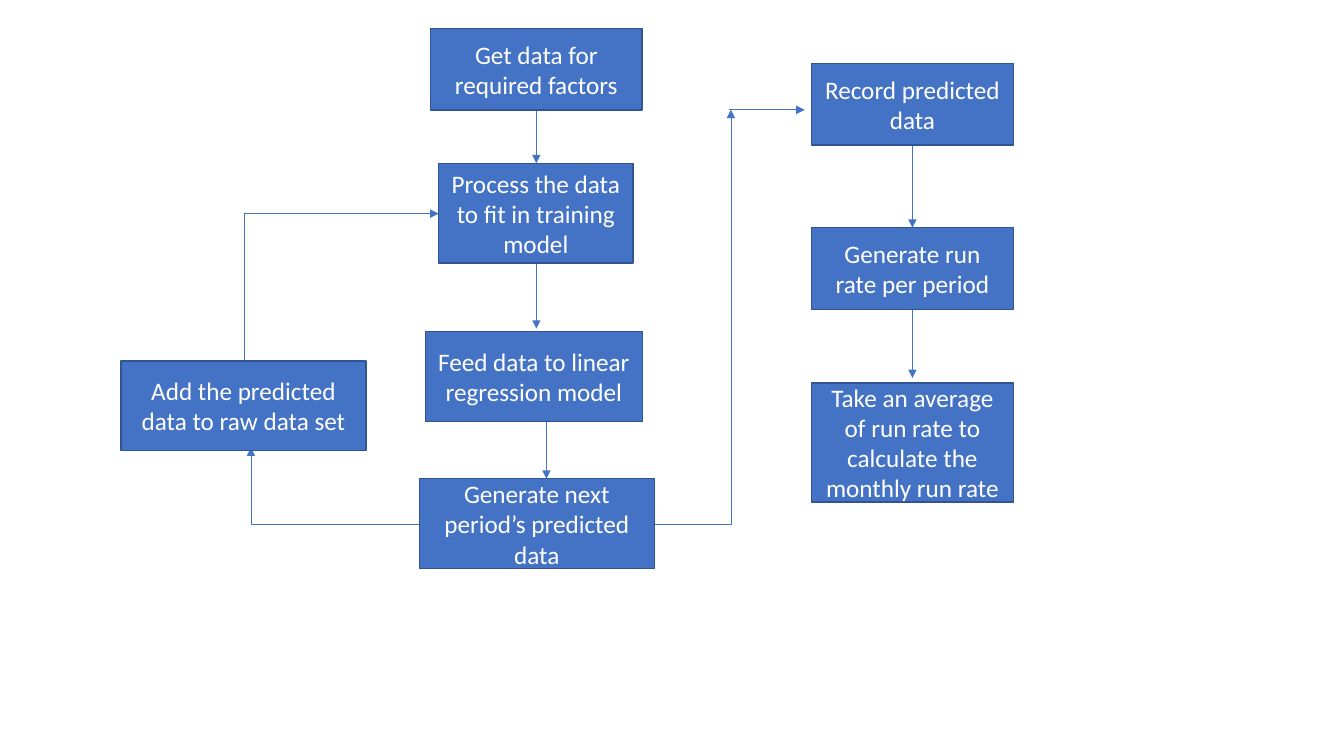
from dataclasses import dataclass

from lxml import etree
from pptx import Presentation
from pptx.dml.color import RGBColor
from pptx.enum.shapes import MSO_CONNECTOR, MSO_SHAPE
from pptx.enum.text import MSO_ANCHOR, PP_ALIGN
from pptx.oxml.ns import qn
from pptx.util import Inches, Pt

RECTANGLE = MSO_SHAPE.RECTANGLE
STRAIGHT, ELBOW = MSO_CONNECTOR.STRAIGHT, MSO_CONNECTOR.ELBOW
MIDDLE, CENTER = MSO_ANCHOR.MIDDLE, PP_ALIGN.CENTER
QUARTER_TURN = "5400000"


@dataclass(frozen=True)
class Theme:
    font: str = "Calibri"
    text_size: Pt = Pt(18)
    text: RGBColor = RGBColor(0xFF, 0xFF, 0xFF)
    accent: RGBColor = RGBColor(0x44, 0x72, 0xC4)
    border: RGBColor = RGBColor(0x32, 0x54, 0x91)
    border_width: Pt = Pt(1)
    arrow_width: Pt = Pt(0.5)


THEME = Theme()

STEPS = [
    ("Get data for required factors", 4.27, 0.28, 2.1, 0.81),
    ("Process the data to fit in training model", 4.35, 1.62, 1.93, 0.99),
    ("Feed data to linear regression model", 4.22, 3.29, 2.15, 0.89),
    ("Generate next period’s predicted data", 4.16, 4.75, 2.33, 0.89),
    ("Add the predicted data to raw data set", 1.2, 3.58, 2.43, 0.89),
    ("Record predicted data", 8.05, 0.63, 2, 0.81),
    ("Generate run rate per period", 8.05, 2.26, 2, 0.81),
    ("Take an average of run rate to calculate the monthly run rate", 8.05, 3.8, 2, 1.18),
]

STRAIGHT_ARROWS = [
    ((5.32, 1.09), (5.32, 1.62)),
    ((5.32, 2.62), (5.32, 3.26)),
    ((5.42, 4.19), (5.42, 4.75)),
    ((7.23, 1.09), (7.98, 1.09)),
    ((9.05, 1.44), (9.05, 2.26)),
    ((9.05, 3.07), (9.05, 3.75)),
]
SIDEWAYS_THEN_UP_ARROWS = [
    ((6.49, 5.2), (7.25, 1.09)),
    ((4.16, 5.2), (2.49, 4.44)),
]
UP_THEN_RIGHT_ARROW = ((2.42, 3.58), (4.35, 2.12))


def add_arrow(slide, kind, start, end):
    connector = slide.shapes.add_connector(kind, *map(Inches, start + end))
    connector.line.color.rgb = THEME.accent
    connector.line.width = THEME.arrow_width
    etree.SubElement(connector.line._get_or_add_ln(), qn("a:tailEnd"), type="triangle")
    properties = connector._element.spPr
    etree.SubElement(properties, qn("a:effectLst"))
    if kind == ELBOW:
        properties.find(qn("a:prstGeom")).set("prst", "bentConnector2")
    return connector


def add_up_then_right_arrow(slide, start, end):
    (start_x, start_y), (end_x, end_y) = start, end
    center_x, center_y = (start_x + end_x) / 2, (start_y + end_y) / 2
    half_width, half_height = (start_y - end_y) / 2, (end_x - start_x) / 2
    connector = add_arrow(
        slide,
        ELBOW,
        (center_x + half_width, center_y + half_height),
        (center_x - half_width, center_y - half_height),
    )
    connector._element.spPr.find(qn("a:xfrm")).set("rot", QUARTER_TURN)


def add_step(slide, text, *box):
    shape = slide.shapes.add_shape(RECTANGLE, *map(Inches, box))
    shape.shadow.inherit = False
    shape.fill.solid()
    shape.fill.fore_color.rgb = THEME.accent
    shape.line.color.rgb = THEME.border
    shape.line.width = THEME.border_width
    frame = shape.text_frame
    frame.word_wrap = True
    frame.vertical_anchor = MIDDLE
    paragraph = frame.paragraphs[0]
    paragraph.alignment = CENTER
    run = paragraph.add_run()
    run.text = text
    run.font.name = THEME.font
    run.font.size = THEME.text_size
    run.font.color.rgb = THEME.text


presentation = Presentation()
presentation.slide_width, presentation.slide_height = Inches(13.33), Inches(7.5)
slide = presentation.slides.add_slide(presentation.slide_layouts.get_by_name("Blank"))

for start, end in STRAIGHT_ARROWS:
    add_arrow(slide, STRAIGHT, start, end)
for start, end in SIDEWAYS_THEN_UP_ARROWS:
    add_arrow(slide, ELBOW, start, end)
add_up_then_right_arrow(slide, *UP_THEN_RIGHT_ARROW)
for step in STEPS:
    add_step(slide, *step)

presentation.save("out.pptx")
